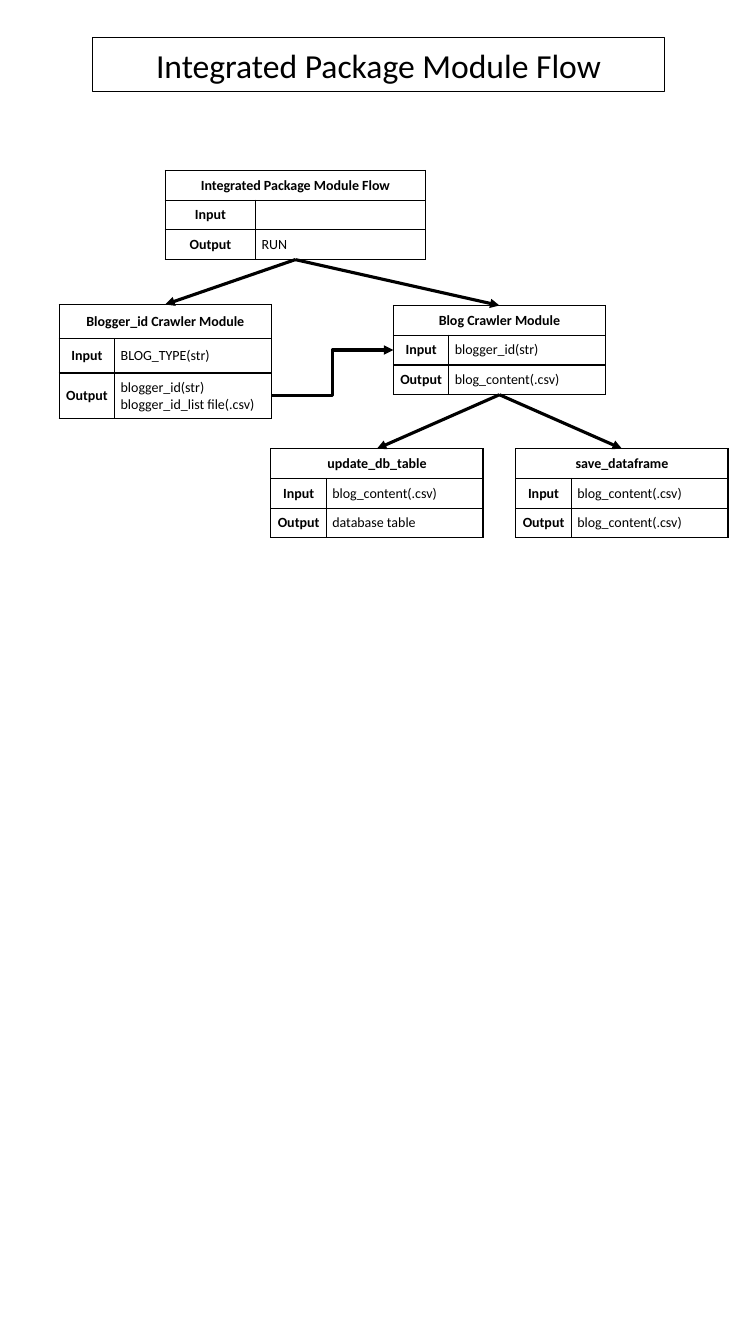
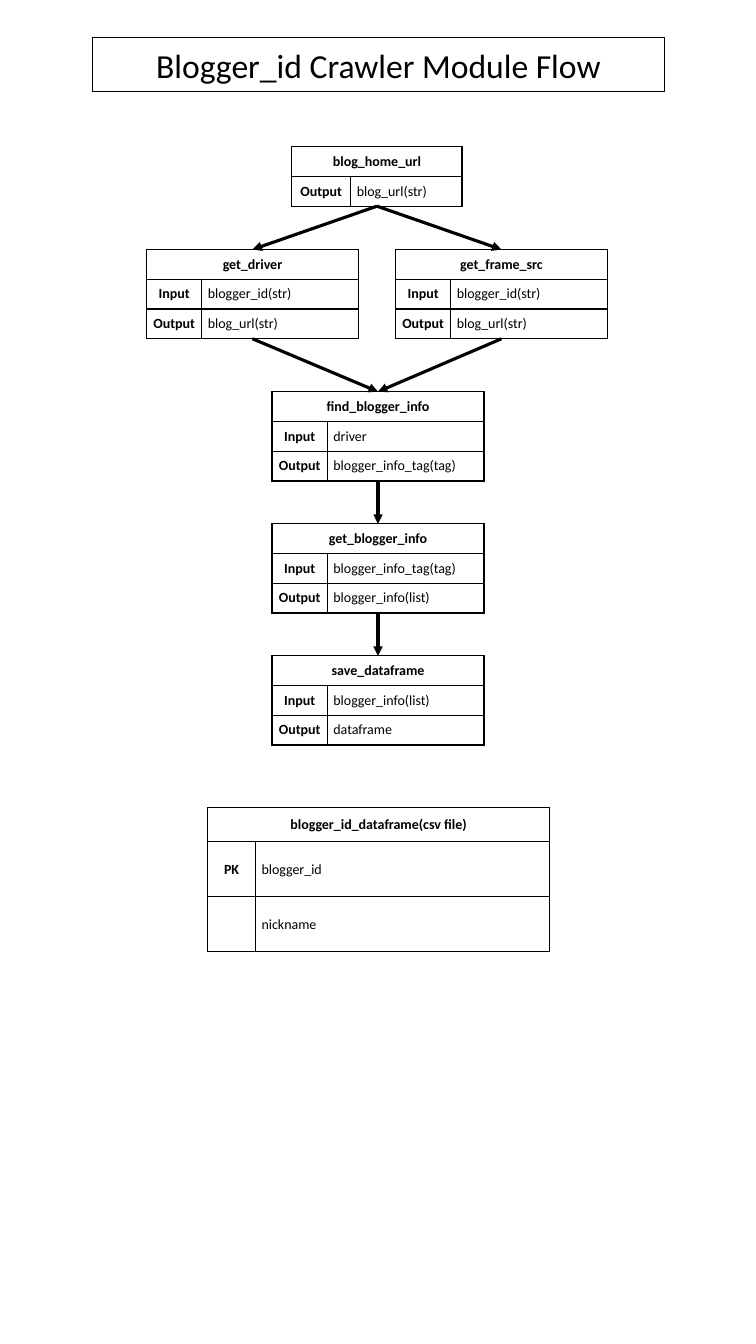
import dataclasses

import lxml.etree
import pptx
import pptx.dml.color
import pptx.enum.shapes
import pptx.enum.text
import pptx.oxml.ns
import pptx.util

CENTER = pptx.enum.text.PP_ALIGN.CENTER
LEFT = pptx.enum.text.PP_ALIGN.LEFT
MIDDLE = pptx.enum.text.MSO_ANCHOR.MIDDLE
STRAIGHT = pptx.enum.shapes.MSO_CONNECTOR.STRAIGHT
ELBOW = pptx.enum.shapes.MSO_CONNECTOR.ELBOW


def color(hex_string):
    return pptx.dml.color.RGBColor.from_string(hex_string)


def grid(cells):
    """The slide is a grid of 75 columns and 133.3 rows, each 0.1 inch."""
    return pptx.util.Inches(cells * 0.1)


def add_tag(parent, tag, **attributes):
    return lxml.etree.SubElement(parent, pptx.oxml.ns.qn(tag), attributes)


@dataclasses.dataclass
class Block:
    """Where a table stands on the grid, for the arrows that meet it."""
    center: float
    top: float
    width: float
    heights: list

    def upper(self):
        return self.center, self.top

    def lower(self):
        return self.center, self.top + sum(self.heights)

    def side(self, row, direction):
        middle = self.top + sum(self.heights[:row]) + self.heights[row] / 2
        return self.center + direction * self.width / 2, middle


class FlowChart:
    ink = "000000"
    font = "Calibri"
    title_size = 24
    table_size = 10
    border_width = 1
    arrow_width = 2.25
    row_height = 2.95

    def __init__(self):
        self.deck = pptx.Presentation()
        self.deck.slide_width = grid(75)
        self.deck.slide_height = grid(133.3)
        self.slide = None

    def style_text(self, para, size, bold=False, align=CENTER):
        para.alignment = align
        for span in para.runs:
            span.font.name = self.font
            span.font.size = pptx.util.Pt(size)
            span.font.bold = bold
            span.font.color.rgb = color(self.ink)

    def add_page(self, title):
        self.slide = self.deck.slides.add_slide(self.deck.slide_layouts[5])
        box = self.slide.shapes.title
        box.left, box.top = grid(9.2), grid(3.7)
        box.width, box.height = grid(56.7), grid(5.4)
        box.line.color.rgb = color(self.ink)
        box.line.width = pptx.util.Pt(self.border_width)
        frame = box.text_frame
        frame.text = title
        frame.word_wrap = True
        frame.auto_size = pptx.enum.text.MSO_AUTO_SIZE.NONE
        frame.vertical_anchor = MIDDLE
        self.style_text(frame.paragraphs[0], self.title_size)

    def add_borders(self, cell):
        properties = cell._tc.get_or_add_tcPr()
        width = str(pptx.util.Pt(self.border_width))
        for place, edge in enumerate(("a:lnL", "a:lnR", "a:lnT", "a:lnB")):
            line = add_tag(properties, edge, w=width)
            add_tag(add_tag(line, "a:solidFill"), "a:srgbClr", val=self.ink)
            properties.insert(place, line)

    def fill_cell(self, cell, text, bold, align):
        cell.fill.background()
        cell.vertical_anchor = MIDDLE
        cell.margin_left = cell.margin_right = grid(0.6)
        cell.margin_top = cell.margin_bottom = grid(0.3)
        para = cell.text_frame.paragraphs[0]
        if text:
            para.text = text
        else:  # an empty cell keeps the small text height
            add_tag(para._p, "a:endParaRPr", sz=str(self.table_size * 100))
        self.style_text(para, self.table_size, bold, align)
        self.add_borders(cell)

    def add_block(self, heading, center, top, rows, widths=(5.5, 15.55), heights=None):
        heights = heights or [self.row_height] * (len(rows) + 1)
        block = Block(center, top, sum(widths), heights)
        table = self.slide.shapes.add_table(
            len(heights), 2, grid(center - block.width / 2), grid(top),
            grid(block.width), grid(sum(heights))).table
        table.first_row = table.horz_banding = False
        for column, width in zip(table.columns, widths):
            column.width = grid(width)
        for row, height in zip(table.rows, heights):
            row.height = grid(height)
        for index, (label, value) in enumerate([(heading, "")] + rows):
            self.fill_cell(table.cell(index, 0), label, True, CENTER)
            self.fill_cell(table.cell(index, 1), value, False, LEFT)
        table.cell(0, 0).merge(table.cell(0, 1))
        return block

    def add_arrow(self, start, end, kind=STRAIGHT):
        arrow = self.slide.shapes.add_connector(kind, *map(grid, start + end))
        arrow.line.color.rgb = color(self.ink)
        arrow.line.width = pptx.util.Pt(self.arrow_width)
        properties = arrow.element.spPr
        add_tag(properties.find(pptx.oxml.ns.qn("a:ln")), "a:tailEnd", type="triangle")
        add_tag(properties, "a:effectLst")

    def link(self, *blocks):
        """Arrows from each block down to the next one."""
        for upper, lower in zip(blocks, blocks[1:]):
            self.add_arrow(upper.lower(), lower.upper())


def in_out(source, result):
    return [("Input", source), ("Output", result)]


chart = FlowChart()

# Slide 1: the whole package
chart.add_page("Integrated Package Module Flow")
package_flow = chart.add_block("Integrated Package Module Flow", 29.3, 16.9,
                               in_out("", "RUN"), widths=(8.95, 16.85))
id_crawler = chart.add_block(
    "Blogger_id Crawler Module", 16.4, 30.2,
    in_out("BLOG_TYPE(str)", "blogger_id(str)\nblogger_id_list file(.csv)"),
    heights=[3.4, 3.4, 4.55])
blog_crawler = chart.add_block("Blog Crawler Module", 49.55, 30.3,
                               in_out("blogger_id(str)", "blog_content(.csv)"))
chart.link(package_flow, id_crawler)
chart.link(package_flow, blog_crawler)
chart.add_arrow(id_crawler.side(2, 1), blog_crawler.side(1, -1), ELBOW)

# The two results of the blog crawler, at equal distance from its centre
for name, result, offset in [("update_db_table", "database table", -12.15),
                             ("save_dataframe", "blog_content(.csv)", 12.15)]:
    output = chart.add_block(name, blog_crawler.center + offset, 44.5,
                             in_out("blog_content(.csv)", result))
    chart.link(blog_crawler, output)

# Slide 2: the id crawler
chart.add_page("Blogger_id Crawler Module Flow")
home_url = chart.add_block("blog_home_url", 37.4, 14.55,
                           [("Output", "blog_url(str)")], widths=(5.85, 11.05))

# Steps in one column
steps = [("find_blogger_info", "driver", "blogger_info_tag(tag)"),
         ("get_blogger_info", "blogger_info_tag(tag)", "blogger_info(list)"),
         ("save_dataframe", "blogger_info(list)", "dataframe")]
step_blocks = [chart.add_block(name, 37.5, 38.85 + index * 13.1, in_out(source, result))
               for index, (name, source, result) in enumerate(steps)]
chart.link(*step_blocks)

# Two ways from the address to the first step
for name, offset in [("get_driver", -12.35), ("get_frame_src", 12.35)]:
    branch = chart.add_block(name, home_url.center + offset, 24.75,
                             in_out("blogger_id(str)", "blog_url(str)"))
    chart.link(home_url, branch, step_blocks[0])

# Stored table
chart.add_block("blogger_id_dataframe(csv file)", 37.55, 80.1,
                [("PK", "blogger_id"), ("", "nickname")],
                widths=(4.75, 29.15), heights=[3.4, 5.45, 5.45])

chart.deck.save("out.pptx")
